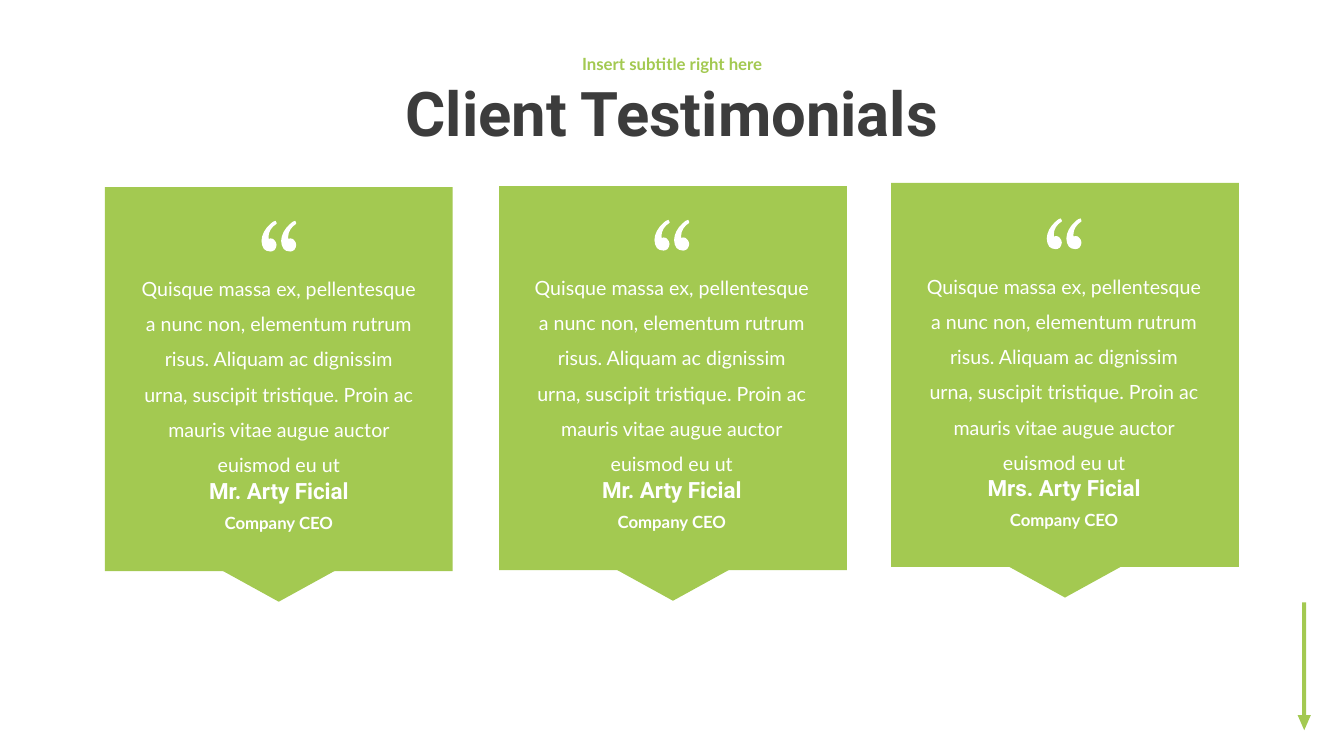
import pptx
import pptx.util
import pptx.dml.color
import pptx.enum.shapes
import pptx.enum.text
import pptx.oxml.ns
import lxml.etree

Pt = pptx.util.Pt
RGBColor = pptx.dml.color.RGBColor
SHAPE = pptx.enum.shapes.MSO_SHAPE
ANCHOR = pptx.enum.text.MSO_ANCHOR
qn = pptx.oxml.ns.qn

GREEN = RGBColor(0xA3, 0xC9, 0x51)
DARK = RGBColor(0x3C, 0x3C, 0x3C)
WHITE = RGBColor(0xFF, 0xFF, 0xFF)

CARD_WIDTH, CARD_HEIGHT = 248.4, 274.3
POINTER_WIDTH, POINTER_HEIGHT = 83.5, 23
QUOTE = (
    "Quisque massa ex, pellentesque a nunc non, elementum rutrum risus. "
    "Aliquam ac dignissim urna, suscipit tristique. "
    "Proin ac mauris vitae augue auctor euismod eu ut"
)
# Card centre and top, content centre and top, name
CARDS = [
    (199.1, 133.6, 199.2, 133.2, "Mr. Arty Ficial"),
    (480.7, 132.9, 479.9, 132.5, "Mr. Arty Ficial"),
    (760.7, 130.6, 760.1, 131.5, "Mrs. Arty Ficial"),
]

# One quotation mark in hundredths of an inch: start, then Bezier segments
MARK_START = (15, 3)
MARK_CURVES = [
    ((10, 6), (7, 11), (7, 16)),
    ((7, 18), (7.2, 18), (7.5, 18)),
    ((8, 18), (8.5, 17.5), (9, 17.5)),
    ((11, 17.5), (12, 18), (13, 19.5)),
    ((14, 20.5), (15, 22), (15, 24)),
    ((15, 26), (14, 27.5), (13, 29)),
    ((12, 30), (10, 30.5), (9, 30.5)),
    ((6, 30.5), (4, 29.5), (2.5, 28)),
    ((1, 26), (0, 23), (0, 20)),
    ((0, 17), (1, 14), (2.5, 11)),
    ((4, 8), (6, 6), (8, 4)),
    ((11, 1), (13, 0), (14, 0)),
    ((14.5, 0), (15, 1), (15, 2)),
]
MARK_SHIFTS = (0, 19.5)
MARKS_WIDTH = 24.8


def paint(shape, color):
    shape.shadow.inherit = False
    shape.fill.solid()
    shape.fill.fore_color.rgb = color
    shape.line.fill.background()


def add_block(page, kind, left, top, width, height, rotation=0):
    block = page.shapes.add_shape(kind, Pt(left), Pt(top), Pt(width), Pt(height))
    block.rotation = rotation
    paint(block, GREEN)


def add_text(page, text, center, top, width, height, font, size, color,
             bold=True, spacing=1.0, anchor=ANCHOR.TOP):
    box = page.shapes.add_textbox(
        Pt(center - width / 2), Pt(top), Pt(width), Pt(height))
    frame = box.text_frame
    frame.word_wrap = True
    frame.vertical_anchor = anchor
    para = frame.paragraphs[0]
    para.text = text
    para.alignment = pptx.enum.text.PP_ALIGN.CENTER
    para.line_spacing = spacing
    para.font.name = font
    para.font.size = Pt(size)
    para.font.bold = bold
    para.font.color.rgb = color


def bend_lines(shape, curves):
    """Turn each straight segment of the outline into a Bezier curve."""
    lines = list(shape.element.iter(qn("a:lnTo")))
    for line, curve in zip(lines, curves):
        bend = lxml.etree.Element(qn("a:cubicBezTo"))
        for x, y in curve:
            lxml.etree.SubElement(bend, qn("a:pt"), x=str(round(x)), y=str(round(y)))
        line.getparent().replace(line, bend)


def add_quotation_marks(page, left, top):
    # Outline units are hundredths of a point
    def place(point, shift):
        return (point[0] + shift) * 72, point[1] * 72

    builder = page.shapes.build_freeform(*place(MARK_START, 0), scale=Pt(0.01))
    for shift in MARK_SHIFTS:
        if shift:
            builder.move_to(*place(MARK_START, shift))
        ends = [place(curve[-1], shift) for curve in MARK_CURVES]
        builder.add_line_segments(ends, close=True)
    marks = builder.convert_to_shape(Pt(left), Pt(top))
    bend_lines(marks, [[place(point, shift) for point in curve]
                       for shift in MARK_SHIFTS for curve in MARK_CURVES])
    paint(marks, WHITE)


def add_card(page, center, top, text_center, text_top, name):
    add_block(page, SHAPE.RECTANGLE, center - CARD_WIDTH / 2, top,
              CARD_WIDTH, CARD_HEIGHT)
    add_block(page, SHAPE.ISOSCELES_TRIANGLE, center - POINTER_WIDTH / 2,
              top + CARD_HEIGHT - 1.1, POINTER_WIDTH, POINTER_HEIGHT, 180)
    add_quotation_marks(page, text_center - MARKS_WIDTH / 2, text_top + 24.5)
    add_text(page, QUOTE, text_center, text_top + 52.6, 210.6, 131.8,
             "Lato", 14, WHITE, bold=False, spacing=1.5)
    add_text(page, name, text_center, text_top + 203.8, 210.2, 26.6,
             "Roboto", 16, WHITE)
    add_text(page, "Company CEO", text_center, text_top + 229.3, 142.6, 21.6,
             "Lato", 12, WHITE)


def main():
    deck = pptx.Presentation()
    deck.slide_width, deck.slide_height = Pt(960), Pt(540)
    page = deck.slides.add_slide(deck.slide_layouts[6])

    # Down arrow in the corner
    add_block(page, SHAPE.RECTANGLE, 930.2, 430.2, 2.9, 80.6)
    add_block(page, SHAPE.ISOSCELES_TRIANGLE, 926.9, 510.8, 9.4, 10.8, 180)

    # Heading
    add_text(page, "Client Testimonials", 480.2, 46.1, 540, 74.2,
             "Roboto", 44, DARK, spacing=0.9, anchor=ANCHOR.MIDDLE)
    add_text(page, "Insert subtitle right here", 480.2, 33, 540, 27.4,
             "Lato", 12, GREEN, spacing=0.9, anchor=ANCHOR.MIDDLE)

    # Testimonials
    for card in CARDS:
        add_card(page, *card)

    deck.save("out.pptx")


if __name__ == "__main__":
    main()
